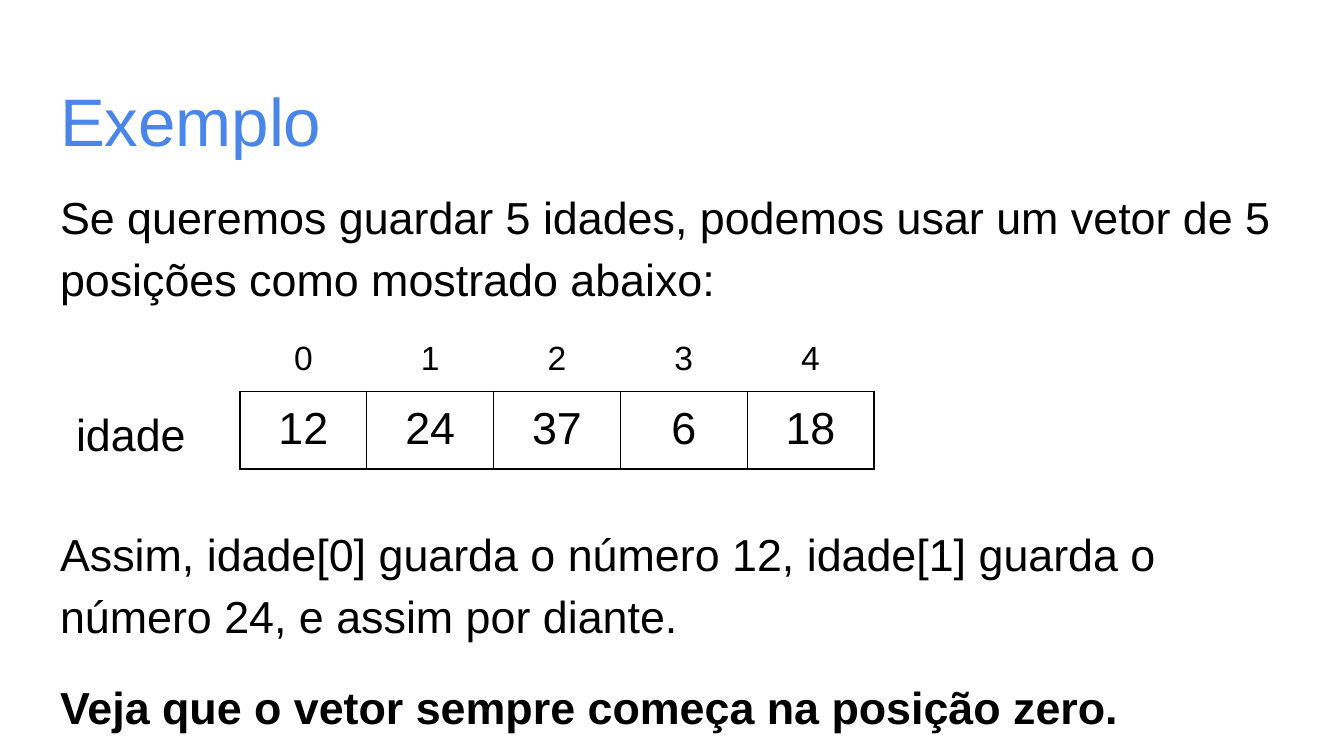
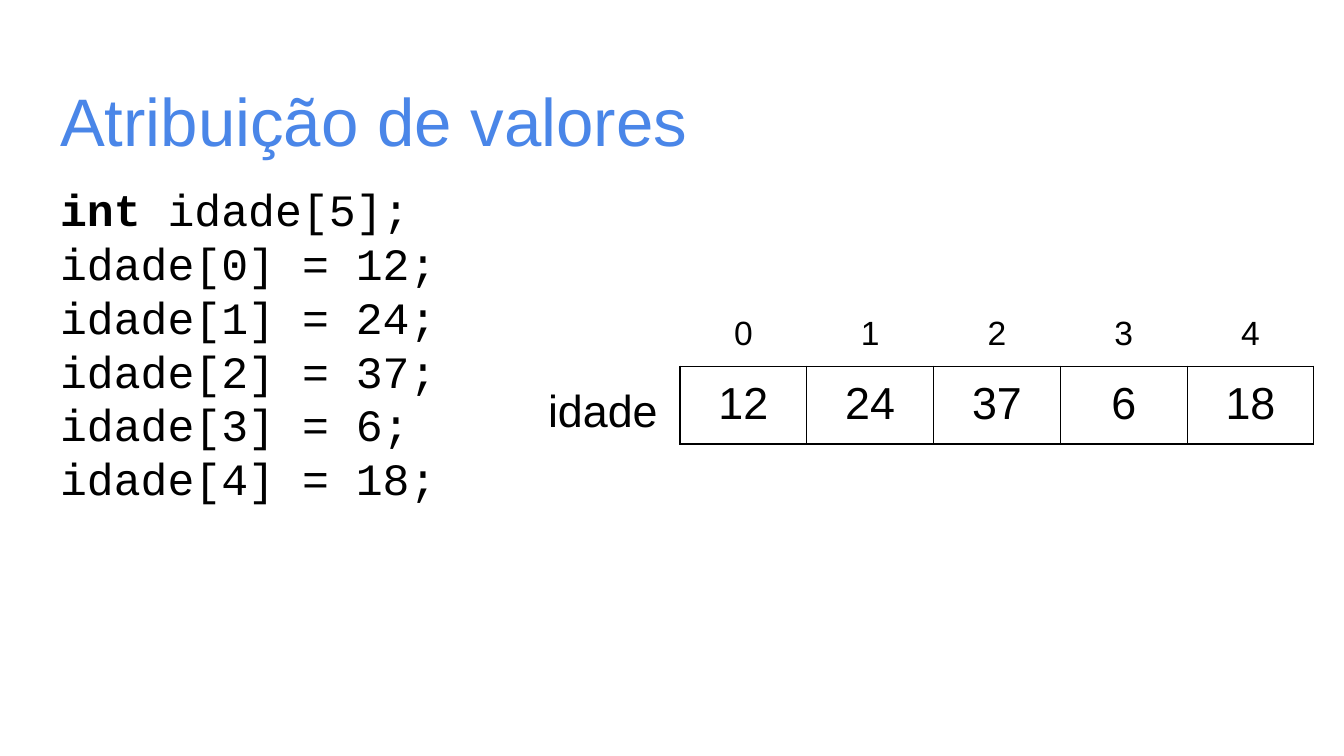
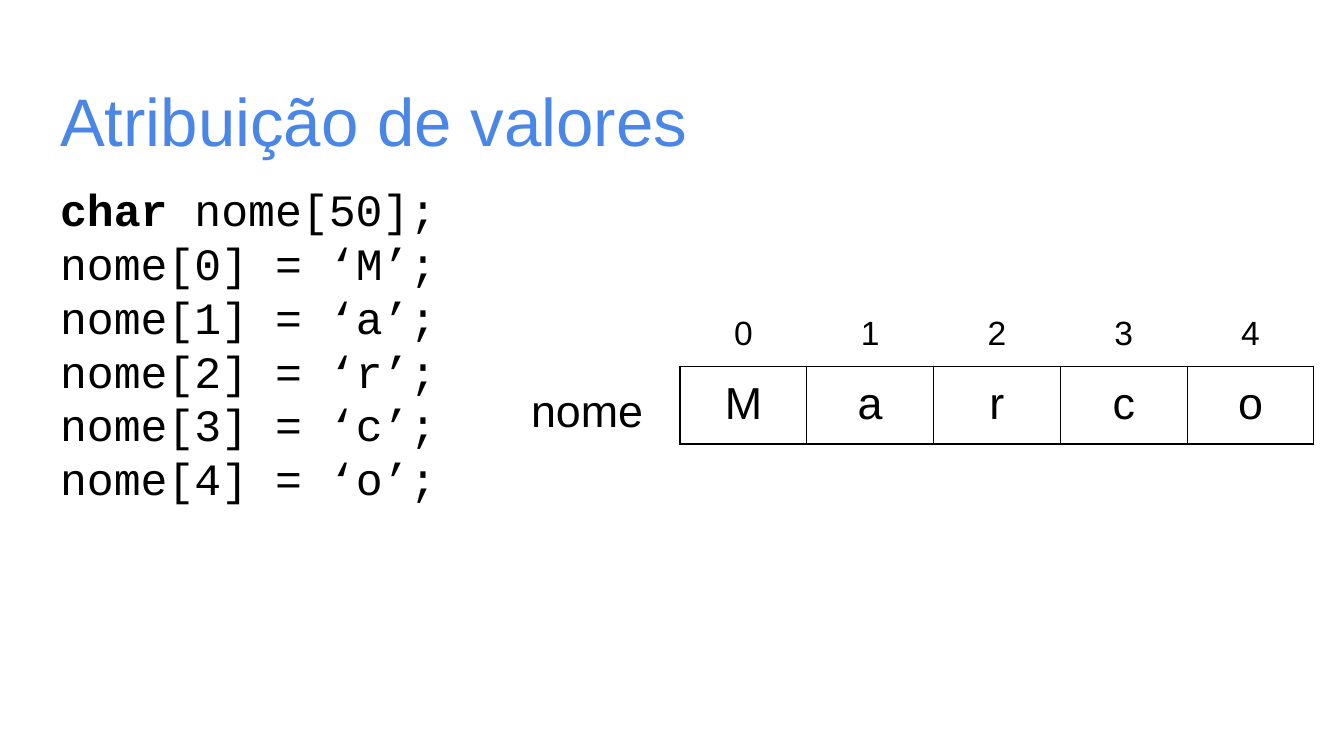
from lxml.etree import SubElement
from pptx import Presentation
from pptx.dml.color import RGBColor
from pptx.enum.text import MSO_ANCHOR, PP_ALIGN
from pptx.oxml.ns import qn
from pptx.util import Emu, Pt

# Shared style
EMU_PER_PX = 914400 / 134.4
BLUE, BLACK, WHITE = "4A86E8", "000000", "FFFFFF"
SANS, MONO = "Arial", "Courier New"
INSET, CELL_BOTTOM_INSET = 13, 11
VECTOR_WIDTH, ROW_HEIGHT = 634, 58
TITLE_BOX = (47, 66, 1252, 85)
BODY_BOX = (47, 169, 1252, 503)


def px(length):
    return Emu(round(length * EMU_PER_PX))


def color(hex_string):
    return RGBColor.from_string(hex_string)


def add_run(paragraph, text, size, font=SANS, hue=BLACK, bold=False):
    run = paragraph.add_run()
    run.text = text
    run.font.size = Pt(size)
    run.font.name = font
    run.font.bold = bold
    run.font.color.rgb = color(hue)


def add_text_frame(slide, box):
    frame = slide.shapes.add_textbox(*map(px, box)).text_frame
    frame.word_wrap = True
    frame.vertical_anchor = MSO_ANCHOR.TOP
    frame.margin_left = frame.margin_right = px(INSET)
    frame.margin_top = frame.margin_bottom = px(INSET)
    return frame


def next_paragraph(frame, index):
    return frame.add_paragraph() if index else frame.paragraphs[0]


def add_title_slide(deck, title):
    slide = deck.slides.add_slide(deck.slide_layouts[6])
    slide.background.fill.solid()
    slide.background.fill.fore_color.rgb = color(WHITE)
    heading = add_text_frame(slide, TITLE_BOX).paragraphs[0]
    add_run(heading, title, 36, hue=BLUE)
    return slide


def add_prose(slide, entries):
    """Each entry is text, space before in points, bold."""
    frame = add_text_frame(slide, BODY_BOX)
    for index, (text, space_before, bold) in enumerate(entries):
        paragraph = next_paragraph(frame, index)
        paragraph.line_spacing = 1.15
        paragraph.space_before = Pt(space_before)
        add_run(paragraph, text, 24, bold=bold)


def add_code(slide, keyword, declaration, statements):
    frame = add_text_frame(slide, BODY_BOX)
    lines = [[(keyword + " ", True), (declaration, False)]]
    lines += [[(statement, False)] for statement in statements]
    for index, pieces in enumerate(lines):
        paragraph = next_paragraph(frame, index)
        for text, bold in pieces:
            add_run(paragraph, text, 24, font=MONO, bold=bold)


def set_borders(cell, left, right, top, bottom):
    properties = cell._tc.get_or_add_tcPr()
    sides = {"a:lnL": left, "a:lnR": right, "a:lnT": top, "a:lnB": bottom}
    for tag, hue in sides.items():
        line = SubElement(properties, qn(tag), w=str(Pt(0.75)))
        fill = SubElement(line, qn("a:solidFill"))
        SubElement(fill, qn("a:srgbClr"), val=hue)


def add_vector(slide, left, top, values):
    """Table with the positions above the values they hold."""
    count = len(values)
    table = slide.shapes.add_table(
        2, count, px(left), px(top), px(VECTOR_WIDTH), px(2 * ROW_HEIGHT)
    ).table
    table.first_row = table.horz_banding = False
    rows = [(range(count), 18, WHITE), (values, 24, BLACK)]
    for row, (texts, size, edge) in enumerate(rows):
        for column, text in enumerate(texts):
            cell = table.cell(row, column)
            cell.margin_left = cell.margin_right = cell.margin_top = px(INSET)
            cell.margin_bottom = px(CELL_BOTTOM_INSET)
            set_borders(cell, edge, edge, edge, BLACK)
            cell.fill.background()
            paragraph = cell.text_frame.paragraphs[0]
            paragraph.alignment = PP_ALIGN.CENTER
            add_run(paragraph, str(text), size)


def add_vector_name(slide, name, left, top, width):
    frame = add_text_frame(slide, (left, top, width, 85))
    add_run(frame.paragraphs[0], name, 24)


def add_assignment_slide(deck, kind, name, length, values, literals, name_left, name_width):
    slide = add_title_slide(deck, "Atribuição de valores")
    statements = [f"{name}[{i}] = {literal};" for i, literal in enumerate(literals)]
    add_code(slide, kind, f"{name}[{length}];", statements)
    add_vector(slide, 680, 302, values)
    add_vector_name(slide, name, name_left, 370, name_width)


def main():
    deck = Presentation()
    deck.slide_width, deck.slide_height = px(1344), px(756)
    ages = [12, 24, 37, 6, 18]
    letters = "Marco"

    # Example of a vector
    example = add_title_slide(deck, "Exemplo")
    add_prose(example, [
        ("Se queremos guardar 5 idades, podemos usar um vetor de 5 posições "
         "como mostrado abaixo:", 0, False),
        ("Assim, idade[0] guarda o número 12, idade[1] guarda o número 24, "
         "e assim por diante.", 114, False),
        ("Veja que o vetor sempre começa na posição zero.", 16, True),
    ])
    add_vector(example, 240, 327, ages)
    add_vector_name(example, "idade", 63, 394, 137)

    # Assigning numbers, then characters
    add_assignment_slide(deck, "int", "idade", 5, ages, ages, 535, 137)
    quoted = [f"‘{letter}’" for letter in letters]
    add_assignment_slide(deck, "char", "nome", 50, letters, quoted, 518, 155)

    deck.save("out.pptx")


if __name__ == "__main__":
    main()
